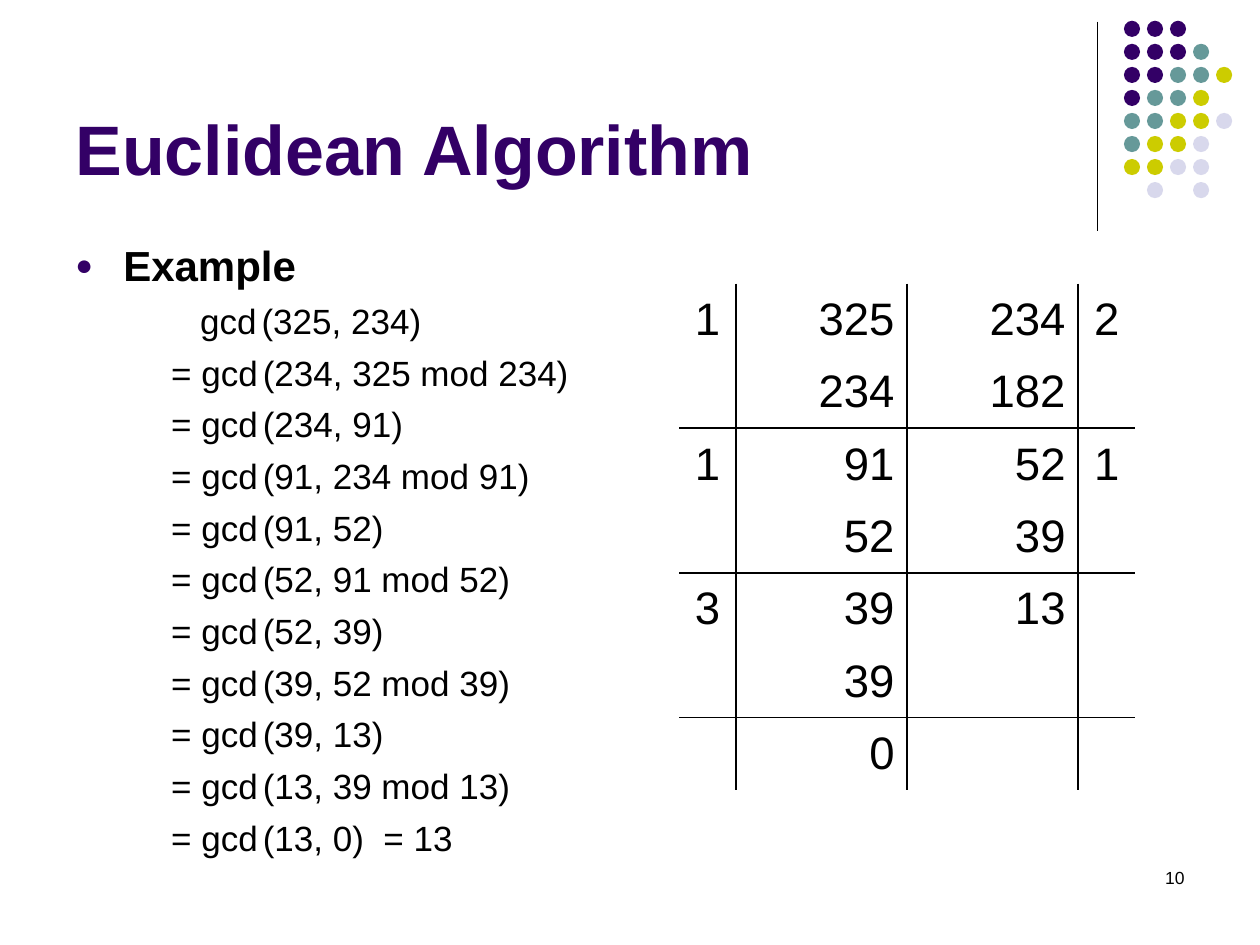
from lxml import etree
from pptx import Presentation
from pptx import util as u
from pptx.dml.color import RGBColor
from pptx.enum import shapes, text
from pptx.oxml import ns

BLACK = RGBColor(0x00, 0x00, 0x00)
PURPLE = RGBColor(0x33, 0x00, 0x66)
TEAL = RGBColor(0x66, 0x99, 0x99)
OLIVE = RGBColor(0xCC, 0xCC, 0x00)
LAVENDER = RGBColor(0xD8, 0xD8, 0xEC)

WIDTH, HEIGHT = u.Inches(10), u.Inches(7.5)
FONT = "Arial"
STEP_INDENT = 0.076
DOT_COLOURS = {"P": PURPLE, "T": TEAL, "O": OLIVE, "L": LAVENDER}
DOT_ROWS = ["PPP", "PPPT", "PPTTO", "PTTO", "TTOOL", "TOOL", "OOLL", ".L.L"]
STEPS = [
    "(325, 234)", "(234, 325 mod 234)", "(234, 91)", "(91, 234 mod 91)",
    "(91, 52)", "(52, 91 mod 52)", "(52, 39)", "(39, 52 mod 39)",
    "(39, 13)", "(13, 39 mod 13)", "(13, 0)  = 13",
]
DIVISIONS = [
    ["1", "325", "234", "2"],
    ["", "234", "182", ""],
    ["1", "91", "52", "1"],
    ["", "52", "39", ""],
    ["3", "39", "13", ""],
    ["", "39", "", ""],
    ["", "0", "", ""],
]
COLUMN_SHARES = [1, 3, 3, 1]


def share(left, top, width, height):
    return (int(WIDTH * left), int(HEIGHT * top),
            int(WIDTH * width), int(HEIGHT * height))


def add_child(parent, tag, **attributes):
    child = etree.SubElement(parent, ns.qn(tag))
    for key, value in attributes.items():
        child.set(key, str(value))
    return child


def write(paragraph, words, size=20, colour=BLACK, bold=False, align=None):
    run = paragraph.add_run()
    run.text = words
    run.font.name, run.font.size, run.font.bold = FONT, u.Pt(size), bold
    run.font.color.rgb = colour
    if align is not None:
        paragraph.alignment = align


def indent(paragraph, left, first=0):
    properties = paragraph._p.get_or_add_pPr()
    properties.set("marL", str(int(WIDTH * left)))
    properties.set("indent", str(int(WIDTH * first)))
    return properties


def text_frame(slide, box, anchor=text.MSO_ANCHOR.TOP):
    frame = slide.shapes.add_textbox(*box).text_frame
    frame.word_wrap = True
    frame.vertical_anchor = anchor
    return frame


def draw_dots(slide, box):
    left, top, width, height = box
    pitch = height / len(DOT_ROWS)
    diameter = int(pitch * 0.7)
    for row, letters in enumerate(DOT_ROWS):
        for column, letter in enumerate(letters):
            if letter not in DOT_COLOURS:
                continue
            dot = slide.shapes.add_shape(
                shapes.MSO_SHAPE.OVAL, int(left + column * pitch),
                int(top + row * pitch), diameter, diameter)
            dot.shadow.inherit = False
            dot.fill.solid()
            dot.fill.fore_color.rgb = DOT_COLOURS[letter]
            dot.line.fill.background()


def draw_divider(slide, box):
    left, top, width, height = box
    divider = slide.shapes.add_connector(
        shapes.MSO_CONNECTOR.STRAIGHT, left, top, left + width, top + height)
    divider.line.color.rgb = BLACK
    divider.line.width = u.Pt(0.75)
    add_child(divider._element.spPr, "a:effectLst")


def draw_title(slide, box):
    frame = text_frame(slide, box, text.MSO_ANCHOR.BOTTOM)
    write(frame.paragraphs[0], "Euclidean Algorithm", size=40, colour=PURPLE, bold=True)


def draw_example(slide, box):
    frame = text_frame(slide, box)
    heading = frame.paragraphs[0]
    properties = indent(heading, STEP_INDENT / 2, -STEP_INDENT / 2)
    add_child(add_child(properties, "a:buClr"), "a:srgbClr", val=PURPLE)
    add_child(properties, "a:buSzPct", val=70000)
    add_child(properties, "a:buFont", typeface=FONT)
    add_child(properties, "a:buChar", char="●")
    heading.line_spacing = 0.9
    write(heading, "Example", size=24, bold=True)
    for number, arguments in enumerate(STEPS):
        step = frame.add_paragraph()
        indent(step, STEP_INDENT if number else STEP_INDENT + 0.023)
        step.line_spacing = 0.9
        step.space_before = u.Pt(7.9)
        write(step, "= gcd" if number else "gcd")
        write(step, " ", size=10)
        write(step, arguments)


def set_borders(cell, visible):
    properties = cell._tc.get_or_add_tcPr()
    for side in "LRTB":
        border = add_child(properties, f"a:ln{side}", w=u.Pt(1))
        if side in visible:
            add_child(add_child(border, "a:solidFill"), "a:srgbClr", val=BLACK)
        else:
            add_child(border, "a:noFill")


def draw_divisions(slide, box):
    rows, columns = len(DIVISIONS), len(COLUMN_SHARES)
    table = slide.shapes.add_table(rows, columns, *box).table
    table.first_row = table.horz_banding = False
    for column, portion in zip(table.columns, COLUMN_SHARES):
        column.width = int(box[2] * portion / sum(COLUMN_SHARES))
    for r, values in enumerate(DIVISIONS):
        table.rows[r].height = box[3] // rows
        for c, value in enumerate(values):
            cell = table.cell(r, c)
            sides = {
                "L": c > 0,
                "R": c < columns - 1,
                "T": r > 0 and r % 2 == 0,
                "B": r % 2 == 1,
            }
            set_borders(cell, [side for side, shown in sides.items() if shown])
            cell.fill.background()
            cell.vertical_anchor = text.MSO_ANCHOR.MIDDLE
            outer = c in (0, columns - 1)
            if value:
                write(cell.text_frame.paragraphs[0], value, size=26,
                      align=text.PP_ALIGN.CENTER if outer else text.PP_ALIGN.RIGHT)


def draw_page_number(slide, box):
    write(text_frame(slide, box).paragraphs[0], "10", size=10,
          align=text.PP_ALIGN.RIGHT)


def main():
    deck = Presentation()
    deck.slide_width, deck.slide_height = WIDTH, HEIGHT
    slide = deck.slides.add_slide(deck.slide_layouts[6])
    draw_divider(slide, share(0.871, 0.023, 0, 0.221))
    draw_dots(slide, share(0.892, 0.022, 0.092, 0.195))
    draw_page_number(slide, share(0.717, 0.911, 0.233, 0.067))
    draw_title(slide, share(0.05, 0.017, 0.825, 0.19))
    draw_example(slide, share(0.05, 0.253, 0.442, 0.64))
    draw_divisions(slide, share(0.539, 0.3, 0.362, 0.536))
    deck.save("out.pptx")


if __name__ == "__main__":
    main()
